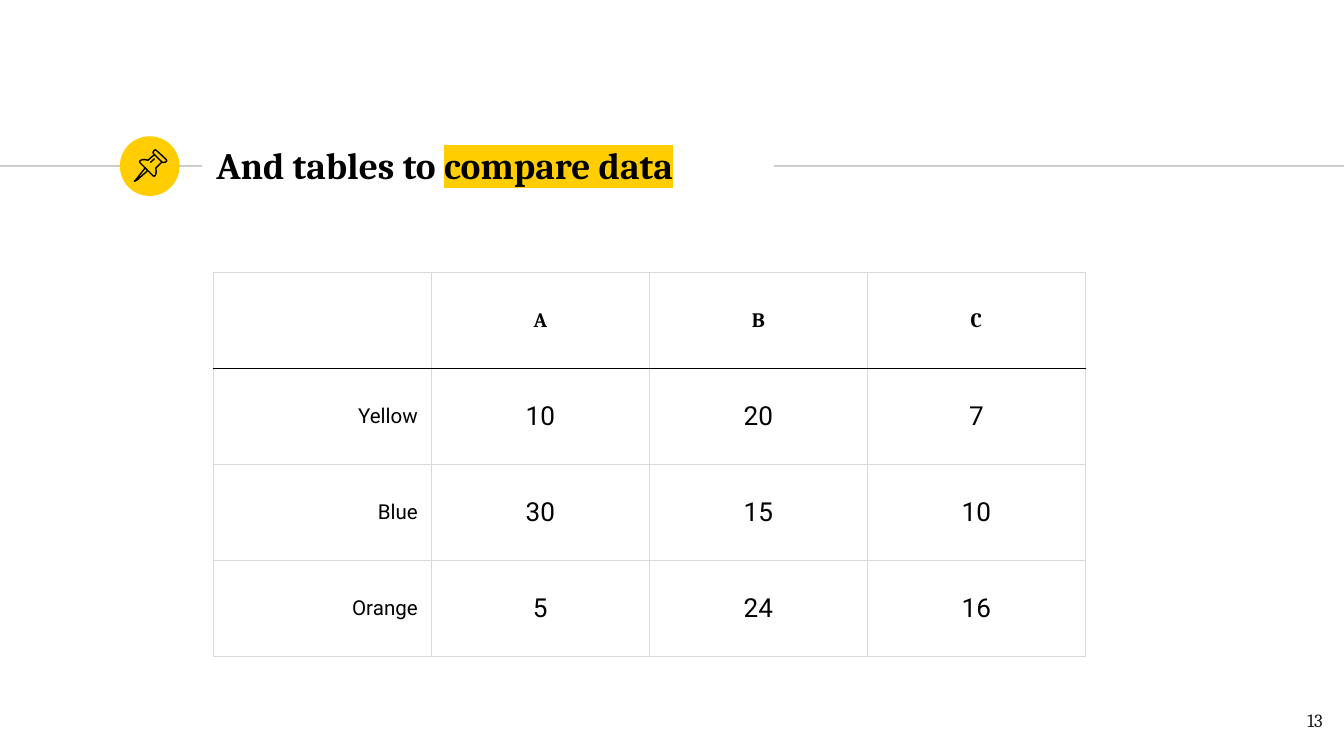
from lxml.etree import SubElement as Sub
from pptx import Presentation
from pptx.dml.color import RGBColor as Rgb
from pptx.enum.shapes import MSO_CONNECTOR as Link, MSO_SHAPE as Form
from pptx.enum.text import MSO_ANCHOR as Anchor, PP_ALIGN as Align
from pptx.oxml.ns import qn
from pptx.util import Pt

HUES = {"gold": "FFCD00", "rule": "CCCCCC", "grid": "D9D9D9",
        "black": "000000", "ink": "1D1D1B", "white": "FFFFFF"}
SERIF, SANS = "Cambria", "Roboto"
MID = 89  # height of the title rule
ROWS = [["", "A", "B", "C"],
        ["Yellow", "10", "20", "7"],
        ["Blue", "30", "15", "10"],
        ["Orange", "5", "24", "16"]]

# Pushpin outlines in tenths of a point: (points, closed)
PIN = [
    ([(778, 900), (727, 965), (720, 972), (734, 965), (792, 914)], True),
    ([(828, 828), (868, 868), (878, 871), (889, 868), (893, 862),
      (893, 857), (838, 806), (832, 803), (826, 806), (821, 814),
      (821, 821)], True),
    ([(828, 828), (792, 859), (778, 855), (763, 855), (752, 860),
      (747, 866), (749, 871), (821, 943), (828, 944), (833, 939),
      (837, 922), (835, 900), (868, 868)], False),
    ([(806, 871), (828, 850)], False),
]


def hue(name):
    return Rgb.from_string(HUES[name])


def style(font, color="black", **look):
    for key, value in look.items():
        setattr(font, key, value)
    font.color.rgb = hue(color)


def write(para, text, **look):
    run = para.add_run()
    run.text = text
    style(run.font, **look)
    return run


def mark(run, color):
    """Highlight a run; the element belongs right after its text fill."""
    props = run._r.get_or_add_rPr()
    light = Sub(props, qn("a:highlight"))
    Sub(light, qn("a:srgbClr"), val=HUES[color])
    props.find(qn("a:solidFill")).addnext(light)


def frame(box, **look):
    area = box.text_frame
    area.word_wrap = True
    for side in ("left", "top", "right", "bottom"):
        setattr(area, f"margin_{side}", Pt(7.2))
    for key, value in look.items():
        setattr(area, key, value)
    return area.paragraphs[0]


def rule(shapes, start, end):
    line = shapes.add_connector(Link.STRAIGHT, Pt(start), Pt(MID), Pt(end), Pt(MID))
    line.line.color.rgb = hue("rule")
    line.line.width = Pt(0.75)
    Sub(line._element.spPr, qn("a:effectLst"))


def disc(shapes, left, size):
    dot = shapes.add_shape(Form.OVAL, Pt(left), Pt(MID - size / 2), Pt(size), Pt(size))
    dot.shadow.inherit = False
    dot.fill.solid()
    dot.fill.fore_color.rgb = hue("gold")
    dot.line.fill.background()


def stroke(shapes, points, closed):
    pen = shapes.build_freeform(*points[0], scale=Pt(0.1))
    pen.add_line_segments(points[1:], close=closed)
    part = pen.convert_to_shape()
    part.shadow.inherit = False
    part.fill.background()
    part.line.color.rgb = hue("black")
    part.line.width = Pt(0.75)


def edge(cell, **sides):
    """Draw cell borders; they come before the fill, in schema order."""
    props = cell._tc.get_or_add_tcPr()
    for spot, (side, color) in enumerate(sides.items()):
        line = Sub(props, qn(f"a:ln{side}"), w=str(Pt(0.75)))
        fill = Sub(line, qn("a:solidFill"))
        Sub(fill, qn("a:srgbClr"), val=HUES[color])
        props.insert(spot, line)


def grid(shapes, left, top, wide, high):
    count, span = len(ROWS), len(ROWS[0])
    table = shapes.add_table(count, span, Pt(left), Pt(top),
                             Pt(wide * span), Pt(high * count)).table
    table.first_row = table.horz_banding = False
    for col in table.columns:
        col.width = Pt(wide)
    for r, row in enumerate(ROWS):
        table.rows[r].height = Pt(high)
        for c, text in enumerate(row):
            cell = table.cell(r, c)
            cell.fill.background()
            cell.vertical_anchor = Anchor.MIDDLE
            cell.margin_top = cell.margin_bottom = Pt(5)
            edge(cell, L="grid", R="grid",
                 T="black" if r == 1 else "grid",
                 B="black" if r == 0 else "grid")
            if not text:
                continue
            para = cell.text_frame.paragraphs[0]
            para.alignment = Align.CENTER if c else Align.RIGHT
            write(para, text, bold=r == 0, name=SANS if r else SERIF,
                  size=Pt(14 if r and c else 11))


def main():
    deck = Presentation()
    deck.slide_width, deck.slide_height = Pt(720), Pt(405)
    slide = deck.slides.add_slide(deck.slide_layouts[5])
    shapes = slide.shapes
    slide.background.fill.solid()
    slide.background.fill.fore_color.rgb = hue("white")

    # Title band
    rule(shapes, 0, 108)
    disc(shapes, 64.2, 32)
    rule(shapes, 414.7, 720)
    title = shapes.title
    title.left, title.top, title.width, title.height = map(Pt, (108.7, 70.6, 305.3, 34.6))
    para = frame(title, vertical_anchor=Anchor.MIDDLE)
    para.alignment = Align.LEFT
    look = dict(name=SERIF, size=Pt(20), bold=True)
    write(para, "And tables to ", **look)
    mark(write(para, "compare data", **look), "gold")

    # Data table
    grid(shapes, 114.3, 146, 116.8, 51.4)

    # Pushpin icon
    for points, closed in PIN:
        stroke(shapes, points, closed)

    # Page number
    box = shapes.add_textbox(Pt(672.5), Pt(373.8), Pt(43.2), Pt(31))
    para = frame(box)
    para.alignment = Align.RIGHT
    write(para, "13", color="ink", name=SERIF, size=Pt(10))

    deck.save("out.pptx")


if __name__ == "__main__":
    main()
